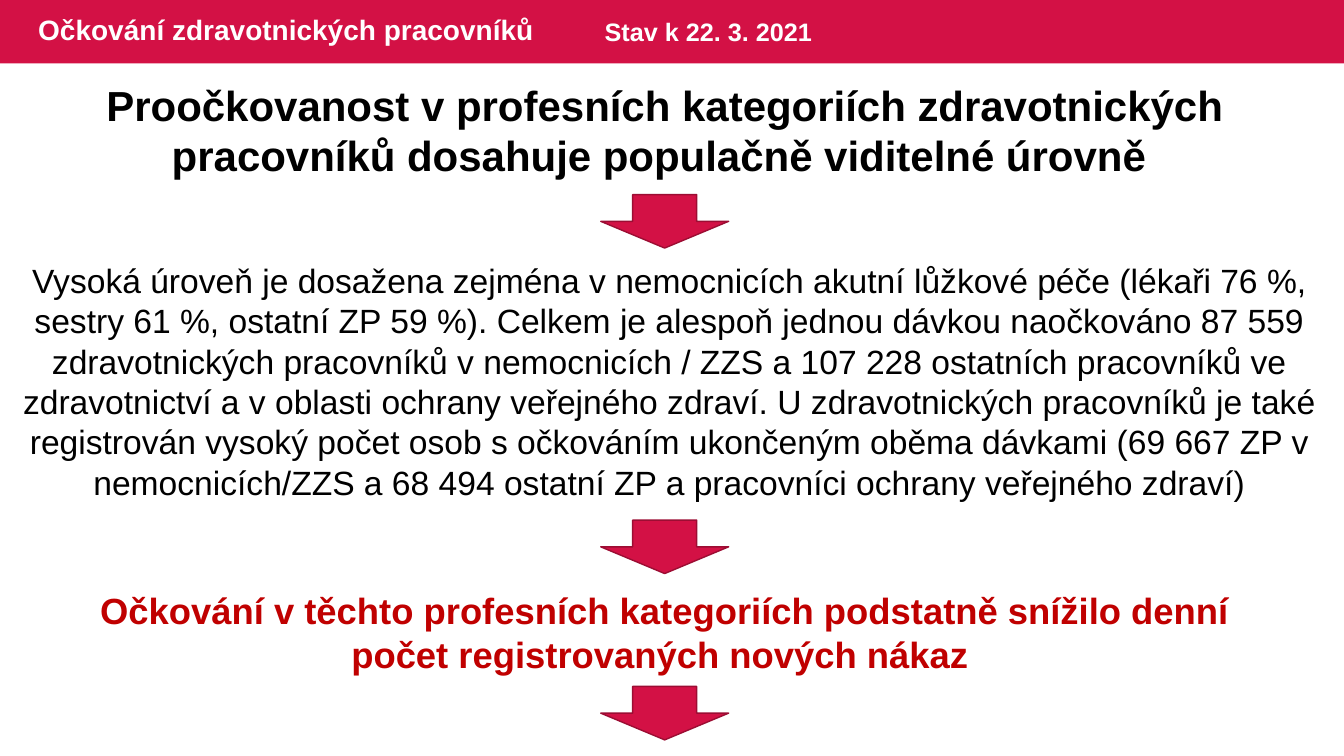
"""Builds the slide on vaccination of health workers."""
from pptx import Presentation
from pptx.dml.color import RGBColor
from pptx.enum import shapes, text
from pptx.util import Pt

COLORS = {"crimson": "D31145", "edge": "9C0D33", "white": "FFFFFF",
          "black": "000000", "red": "C00000"}
SLIDE_SIZE = (960, 540)
BANNER = (0, 0, 960, 45.4)
ARROW_LEFT, ARROW_WIDTH, ARROW_HEIGHT = 429.1, 91.4, 38.2
ARROW_TOPS = (139, 371.5, 490.3)

LEFT, CENTER = text.PP_ALIGN.LEFT, text.PP_ALIGN.CENTER
TOP, MIDDLE = text.MSO_ANCHOR.TOP, text.MSO_ANCHOR.MIDDLE

STATEMENTS = [
    ("Očkování zdravotnických pracovníků",
     (20.2, 0, 585.4, 45.4), "white", MIDDLE,
     {"size": Pt(20), "bold": True}, {"alignment": LEFT, "line_spacing": 0.9}),
    ("Stav k 22. 3. 2021",
     (424.8, 7.9, 213.1, 29.1), "white", TOP,
     {"size": Pt(18), "bold": True}, {"alignment": LEFT}),
    ("Proočkovanost v profesních kategoriích zdravotnických pracovníků "
     "dosahuje populačně viditelné úrovně ",
     (34.6, 53.3, 881.3, 79.9), "black", TOP,
     {"size": Pt(30), "bold": True}, {"alignment": CENTER}),
    ("Vysoká úroveň je dosažena zejména v nemocnicích akutní lůžkové péče "
     "(lékaři 76 %, sestry 61 %, ostatní ZP 59 %). Celkem je alespoň jednou "
     "dávkou naočkováno 87 559 zdravotnických pracovníků v nemocnicích / ZZS "
     "a 107 228 ostatních pracovníků ve zdravotnictví a v oblasti ochrany "
     "veřejného zdraví. U zdravotnických pracovníků je také registrován "
     "vysoký počet osob s očkováním ukončeným oběma dávkami (69 667 ZP v "
     "nemocnicích/ZZS a 68 494 ostatní ZP a pracovníci ochrany veřejného "
     "zdraví)",
     (8.6, 182.2, 938.9, 181.4), "black", TOP,
     {"size": Pt(24), "bold": False}, {"alignment": CENTER}),
    ("Očkování v těchto profesních kategoriích podstatně snížilo denní "
     "počet registrovaných nových nákaz ",
     (34.6, 416.9, 881.3, 70.6), "red", TOP,
     {"size": Pt(26), "bold": True}, {"alignment": CENTER}),
]


def color(name):
    return RGBColor.from_string(COLORS[name])


def apply(target, values):
    for name, value in values.items():
        setattr(target, name, value)


def add_block(slide, kind, place, edge=None):
    block = slide.shapes.add_shape(kind, *map(Pt, place))
    block.shadow.inherit = False
    block.fill.solid()
    block.fill.fore_color.rgb = color("crimson")
    if edge:
        block.line.color.rgb = color(edge)
        block.line.width = Pt(1)
    else:
        block.line.fill.background()


def add_statement(slide, wording, place, ink, anchor, font, layout):
    frame = slide.shapes.add_textbox(*map(Pt, place)).text_frame
    apply(frame, {"word_wrap": True, "vertical_anchor": anchor})
    paragraph = frame.paragraphs[0]
    apply(paragraph, layout)
    run = paragraph.add_run()
    run.text = wording
    apply(run.font, {"name": "Arial", **font})
    run.font.color.rgb = color(ink)


def main():
    deck = Presentation()
    deck.slide_width, deck.slide_height = map(Pt, SLIDE_SIZE)
    slide = deck.slides.add_slide(deck.slide_layouts[6])
    add_block(slide, shapes.MSO_SHAPE.RECTANGLE, BANNER)
    for statement in STATEMENTS:
        add_statement(slide, *statement)
    for top in ARROW_TOPS:
        add_block(slide, shapes.MSO_SHAPE.DOWN_ARROW,
                  (ARROW_LEFT, top, ARROW_WIDTH, ARROW_HEIGHT), "edge")
    deck.save("out.pptx")


if __name__ == "__main__":
    main()
